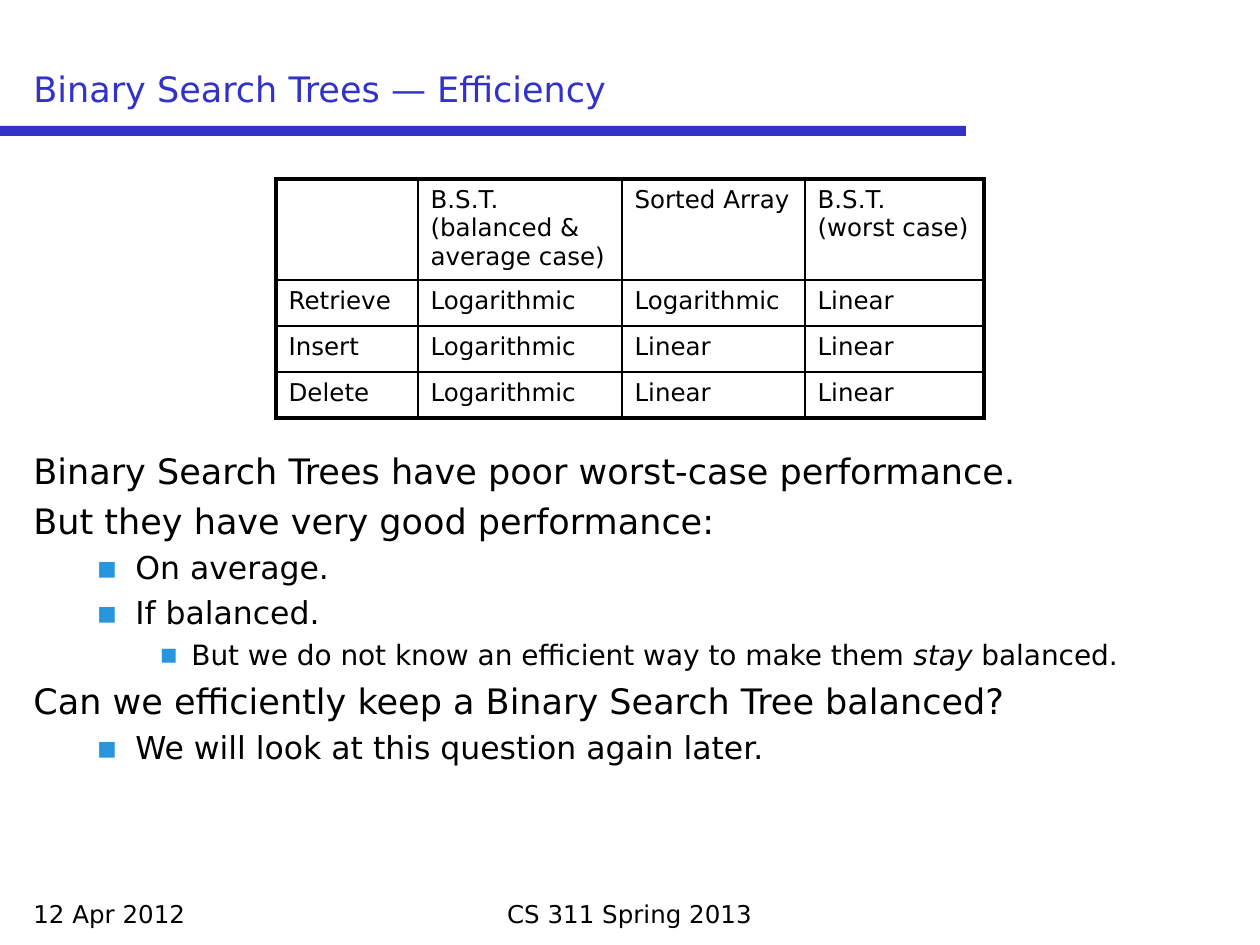
from lxml import etree
from pptx import Presentation
from pptx import util as u
from pptx.dml.color import RGBColor
from pptx.enum import shapes, text
from pptx.oxml.ns import qn

FONT = "DejaVu Sans"
HUE = {"ink": "000000", "blue": "3232C8", "mark": "2896DC"}
LEAD = 0.23  # space before, as a share of the type size

# level: type size, left margin, first-line indent, bullet
LEVEL = {
    0: (20, 48, -48, None),
    1: (18, 102, -39, "▪"),
    2: (16, 158, -32, "▪"),
}
BODY = [
    (0, ["Binary Search Trees have poor worst-case performance."]),
    (0, ["But they have very good performance:"]),
    (1, ["On average."]),
    (1, ["If balanced."]),
    (2, ["But we do not know an efficient way to make them ", "stay", " balanced."]),
    (0, ["Can we efficiently keep a Binary Search Tree balanced?"]),
    (1, ["We will look at this question again later."]),
]
GRID = [
    ["", "B.S.T.\v(balanced & average case)", "Sorted Array", "B.S.T.\v(worst case)"],
    ["Retrieve", "Logarithmic", "Logarithmic", "Linear"],
    ["Insert", "Logarithmic", "Linear", "Linear"],
    ["Delete", "Logarithmic", "Linear", "Linear"],
]
COLS = [142, 204, 183, 179]
ROWS = [101, 46, 46, 46]


def px(n):
    return u.Emu(round(n * 914400 / 126))


def style(font, size, hue="ink"):
    for key, val in {"name": FONT, "size": u.Pt(size)}.items():
        setattr(font, key, val)
    font.color.rgb = RGBColor.from_string(HUE[hue])


def add_box(slide, box, anchor=text.MSO_ANCHOR.TOP):
    frame = slide.shapes.add_textbox(*map(px, box)).text_frame
    frame.word_wrap = True
    frame.vertical_anchor = anchor
    return frame


def add_line(slide, box, words, size, hue="ink",
             align=text.PP_ALIGN.LEFT, anchor=text.MSO_ANCHOR.TOP):
    para = add_box(slide, box, anchor).paragraphs[0]
    para.alignment = align
    run = para.add_run()
    run.text = words
    style(run.font, size, hue)


def set_mark(para, left, indent, mark):
    props = para._p.get_or_add_pPr()
    props.set("marL", str(px(left)))
    props.set("indent", str(px(indent)))
    if mark:
        hue = etree.SubElement(props, qn("a:buClr"))
        etree.SubElement(hue, qn("a:srgbClr"), val=HUE["mark"])
        etree.SubElement(props, qn("a:buFont"), typeface=FONT)
        etree.SubElement(props, qn("a:buChar"), char=mark)
    else:
        etree.SubElement(props, qn("a:buNone"))


def add_head(slide, box):
    # Title above a thick rule that starts at the slide's edge
    x, y, w, h = box
    rule = slide.shapes.add_shape(shapes.MSO_SHAPE.RECTANGLE,
                                  *map(px, (0, y + h + 10, 966, 10)))
    rule.shadow.inherit = False
    rule.fill.solid()
    rule.fill.fore_color.rgb = RGBColor.from_string(HUE["blue"])
    rule.line.fill.background()
    add_line(slide, box, "Binary Search Trees — Efficiency", 20, "blue",
             anchor=text.MSO_ANCHOR.BOTTOM)


def set_edge(cell, outer):
    # Thick on the table's outline, thin inside
    props = cell._tc.get_or_add_tcPr()
    for side in "LRTB":
        width = u.Pt(2.25 if side in outer else 1)
        line = etree.SubElement(props, qn("a:ln" + side), w=str(width))
        fill = etree.SubElement(line, qn("a:solidFill"))
        etree.SubElement(fill, qn("a:srgbClr"), val=HUE["ink"])


def add_grid(slide, x, y):
    box = (x, y, sum(COLS), sum(ROWS))
    table = slide.shapes.add_table(len(ROWS), len(COLS), *map(px, box)).table
    table.first_row = table.horz_banding = False
    for col, w in zip(table.columns, COLS):
        col.width = px(w)
    for row, h in zip(table.rows, ROWS):
        row.height = px(h)
    for r, line in enumerate(GRID):
        for c, words in enumerate(line):
            cell = table.cell(r, c)
            cell.text_frame.text = words
            style(cell.text_frame.paragraphs[0].font, 14)
            for run in cell.text_frame.paragraphs[0].runs:
                style(run.font, 14)
            ends = {"L": c == 0, "R": c == len(COLS) - 1,
                    "T": r == 0, "B": r == len(ROWS) - 1}
            set_edge(cell, [side for side, on in ends.items() if on])
            cell.fill.background()


def add_body(slide, box):
    frame = add_box(slide, box)
    for i, (level, parts) in enumerate(BODY):
        para = frame.add_paragraph() if i else frame.paragraphs[0]
        size, left, indent, mark = LEVEL[level]
        para.level = level
        set_mark(para, left, indent, mark)
        if i:
            para.space_before = u.Pt(round(size * LEAD, 1))
        for k, part in enumerate(parts):
            run = para.add_run()
            run.text = part
            style(run.font, size)
            run.font.italic = k % 2 == 1  # every second part is stressed


def add_foot(slide, box):
    x, y, w, h = box
    add_line(slide, (x, y, 294, h), "12 Apr 2012", 14)
    mid = 609
    add_line(slide, (x + (w - mid) // 2, y, mid, h), "CS 311 Spring 2013", 14,
             align=text.PP_ALIGN.CENTER)


def main():
    deck = Presentation()
    deck.slide_width, deck.slide_height = px(1260), px(945)
    slide = deck.slides.add_slide(deck.slide_layouts[6])
    add_head(slide, (21, 21, 1218, 95))
    add_foot(slide, (21, 893, 1218, 42))
    add_body(slide, (21, 443, 1218, 439))
    add_grid(slide, 276, 179)
    deck.save("out.pptx")


if __name__ == "__main__":
    main()
